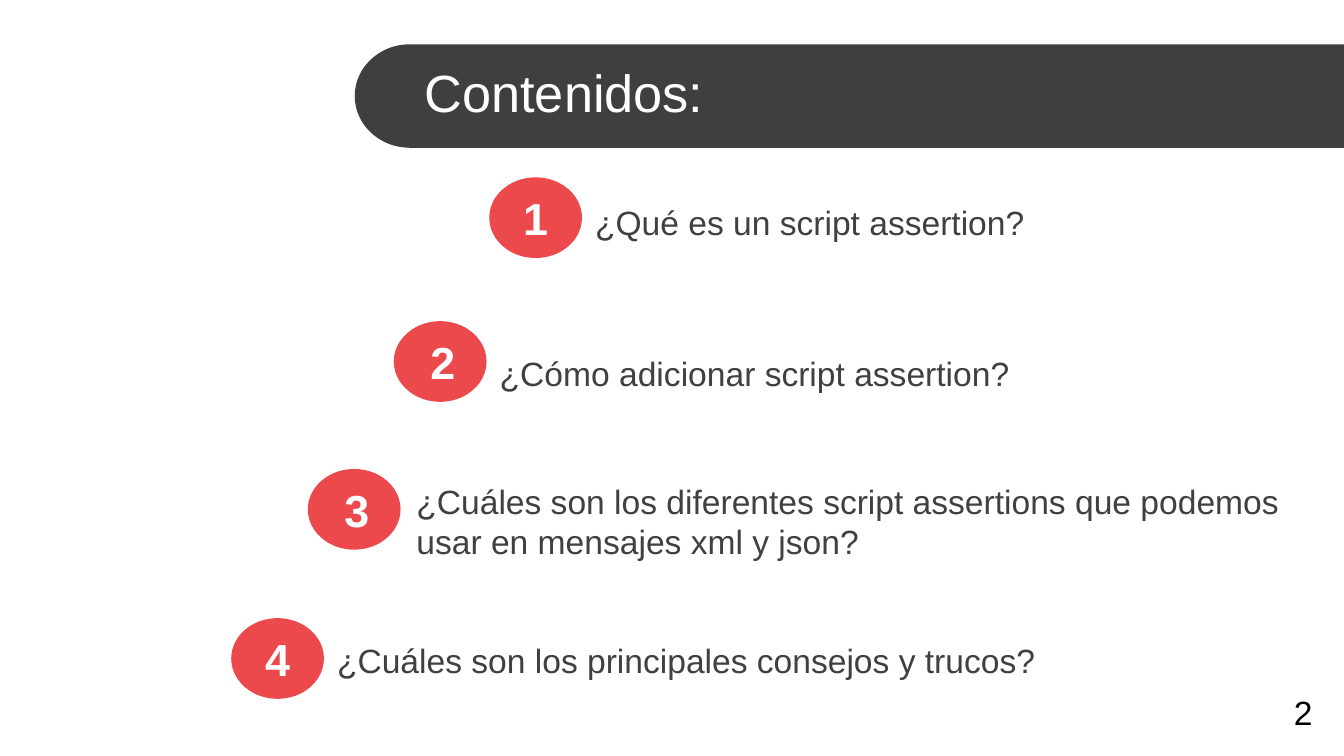
from math import cos, pi, sin

from pptx import Presentation
from pptx.dml.color import RGBColor
from pptx.enum.shapes import MSO_SHAPE
from pptx.enum.text import MSO_ANCHOR, MSO_AUTO_SIZE, PP_ALIGN
from pptx.util import Inches, Pt

PAGE_WIDTH = 10
PAGE_HEIGHT = PAGE_WIDTH * 9 / 16
DARK, RED, GREY, WHITE, BLACK = "3F3F3F", "EB494B", "404040", "FFFFFF", "000000"
CIRCLE_WIDTH, CIRCLE_HEIGHT = 0.69, 0.6

TITLE_FORMAT = {"name": "Arial", "size": Pt(28), "bold": False}
NUMBER_FORMAT = {"name": "Arial", "size": Pt(24), "bold": True}
BODY_FORMAT = {"name": "Arial", "size": Pt(18), "bold": False}

# Circle left and top, number left, place of the text, text
TOPICS = [
    (3.64, 1.32, 3.64, (4.33, 1.45, 5.04, 0.4), "¿Qué es un script assertion?"),
    (2.93, 2.39, 2.95, (3.62, 2.58, 6.66, 0.4), "¿Cómo adicionar script assertion?"),
    (2.29, 3.49, 2.31, (3, 3.52, 7.22, 0.71),
     "¿Cuáles son los diferentes script assertions que podemos\n"
     "usar en mensajes xml y json?"),
    (1.72, 4.6, 1.72, (2.41, 4.71, 6.96, 0.4),
     "¿Cuáles son los principales consejos y trucos?"),
]


def color(hex_value):
    return RGBColor.from_string(hex_value)


def paint(shape, fill):
    shape.shadow.inherit = False
    shape.fill.solid()
    shape.fill.fore_color.rgb = color(fill)
    shape.line.fill.background()


def write(box, text, font_format, ink, align=PP_ALIGN.LEFT, anchor=MSO_ANCHOR.MIDDLE,
          fit=MSO_AUTO_SIZE.SHAPE_TO_FIT_TEXT):
    """Fill a box with one paragraph for each line of text."""
    frame = box.text_frame
    frame.text = text
    frame.word_wrap = True
    frame.auto_size = fit
    frame.vertical_anchor = anchor
    for paragraph in frame.paragraphs:
        paragraph.alignment = align
        for span in paragraph.runs:
            for name, value in font_format.items():
                setattr(span.font, name, value)
            span.font.color.rgb = color(ink)


def add_text(page, place, *content, **options):
    box = page.shapes.add_textbox(*map(Inches, place))
    write(box, *content, **options)
    return box


def add_banner(page):
    """Draw a bar with a rounded left end that runs to the right edge."""
    left, top, bottom, radius = 2.64, 0.33, 1.1, 0.41
    middle, half = (top + bottom) / 2, (bottom - top) / 2
    steps = 48
    angles = [pi / 2 + pi * step / steps for step in range(steps + 1)]
    curve = [(left + radius + radius * cos(angle), middle + half * sin(angle))
             for angle in angles]
    builder = page.shapes.build_freeform(Inches(PAGE_WIDTH), Inches(top))
    points = [(PAGE_WIDTH, bottom)] + curve
    builder.add_line_segments([(Inches(x), Inches(y)) for x, y in points])
    paint(builder.convert_to_shape(), DARK)


def add_title(page):
    title = page.shapes.title
    title.left, title.top = Inches(3.06), Inches(0.37)
    title.width, title.height = Inches(6.94), Inches(0.63)
    write(title, "Contenidos:", TITLE_FORMAT, WHITE, fit=MSO_AUTO_SIZE.NONE)
    # Bring the title in front of the banner
    page.shapes.element.append(title.element)


def add_topic(page, number, left, top, number_left, text_place, text):
    circle = page.shapes.add_shape(
        MSO_SHAPE.OVAL, *map(Inches, (left, top, CIRCLE_WIDTH, CIRCLE_HEIGHT)))
    paint(circle, RED)
    add_text(page, text_place, text, BODY_FORMAT, GREY)
    add_text(page, (number_left, top + 0.05, CIRCLE_WIDTH, 0.5),
             str(number), NUMBER_FORMAT, WHITE, align=PP_ALIGN.CENTER)


def add_page_number(page):
    box = add_text(page, (9.53, 5.1, 0.34, 0.4), "2", BODY_FORMAT, BLACK,
                   anchor=MSO_ANCHOR.TOP)
    box.text_frame.word_wrap = False


def main():
    deck = Presentation()
    deck.slide_width, deck.slide_height = Inches(PAGE_WIDTH), Inches(PAGE_HEIGHT)
    page = deck.slides.add_slide(deck.slide_layouts.get_by_name("Title Only"))
    add_banner(page)
    add_title(page)
    for number, topic in enumerate(TOPICS, start=1):
        add_topic(page, number, *topic)
    add_page_number(page)
    deck.save("out.pptx")


if __name__ == "__main__":
    main()
